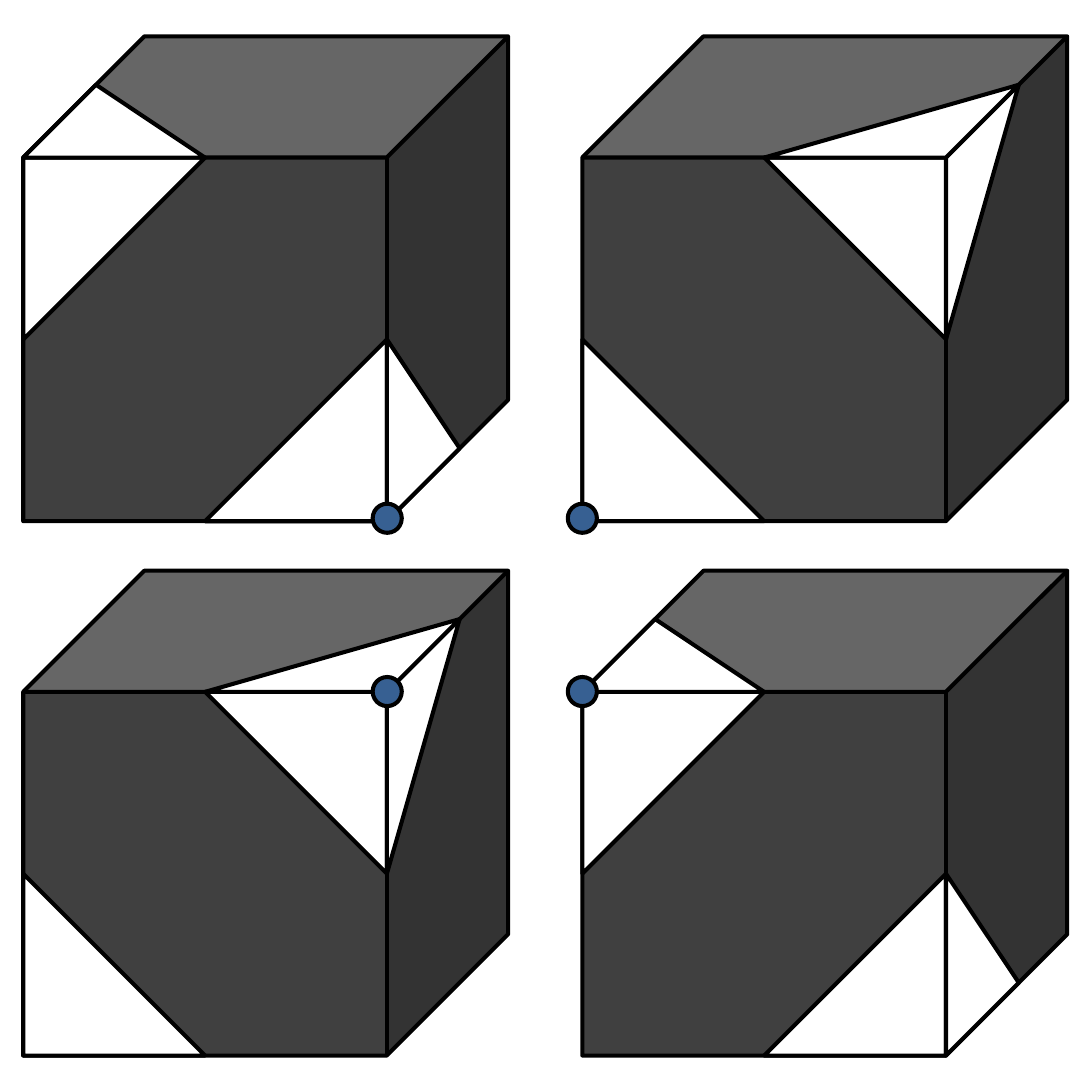
from itertools import product

from pptx import Presentation
from pptx.dml.color import RGBColor
from pptx.enum.shapes import MSO_SHAPE as Shape
from pptx.util import Inches, Pt

FACE = RGBColor(0x40, 0x40, 0x40)
CUT = RGBColor(0xFF, 0xFF, 0xFF)
DOT = RGBColor(0x37, 0x60, 0x92)
OUTLINE = RGBColor(0, 0, 0)

SIDE = 3.33
DEPTH = SIDE / 4
FRONT = SIDE - DEPTH
HALF = FRONT / 2
NOTCH = 0.5
DOT_SIZE = 0.2
LEFTS = (0.16, 4.0)
TOPS = (0.25, 3.92)
DOT_CENTRES = product((2.66, 4.0), (3.56, 4.75))

MIDDLE = DEPTH + HALF
TOP_EDGE = (HALF, DEPTH)
RIGHT_EDGE = (FRONT, MIDDLE)
TOP_RIGHT = (FRONT, DEPTH)
UPPER_NOTCH = (FRONT + NOTCH, DEPTH - NOTCH)
LOWER_NOTCH = (FRONT + NOTCH, SIDE - NOTCH)

FALLING_CUTS = {
    "triangles": [(0, DEPTH, 90), (HALF, MIDDLE, 270)],
    "flaps": [
        [(NOTCH, DEPTH - NOTCH), (0, DEPTH), TOP_EDGE],
        [RIGHT_EDGE, LOWER_NOTCH, (FRONT, SIDE)],
    ],
}
RISING_CUTS = {
    "triangles": [(HALF, DEPTH, 180), (0, MIDDLE, 0)],
    "flaps": [
        [TOP_RIGHT, UPPER_NOTCH, RIGHT_EDGE],
        [TOP_EDGE, TOP_RIGHT, UPPER_NOTCH],
    ],
}


def paint(shape, colour):
    shape.shadow.inherit = False
    shape.fill.solid()
    shape.fill.fore_color.rgb = colour
    shape.line.color.rgb = OUTLINE
    shape.line.width = Pt(2)


def add_preset(page, kind, left, top, size, colour, rotation=0):
    shape = page.shapes.add_shape(
        kind, Inches(left), Inches(top), Inches(size), Inches(size))
    shape.rotation = rotation
    paint(shape, colour)


def add_flap(page, left, top, corners):
    points = [(Inches(left + x), Inches(top + y)) for x, y in corners]
    builder = page.shapes.build_freeform(*points[0])
    builder.add_line_segments(points[1:], close=True)
    paint(builder.convert_to_shape(), CUT)


def add_cube(page, left, top, cuts):
    add_preset(page, Shape.CUBE, left, top, SIDE, FACE)
    for x, y, rotation in cuts["triangles"]:
        add_preset(page, Shape.RIGHT_TRIANGLE, left + x, top + y, HALF, CUT, rotation)
    for corners in cuts["flaps"]:
        add_flap(page, left, top, corners)


def main():
    deck = Presentation()
    deck.slide_width = deck.slide_height = Inches(7.5)
    page = deck.slides.add_slide(deck.slide_layouts[6])
    for row, top in enumerate(TOPS):
        for column, left in enumerate(LEFTS):
            cuts = FALLING_CUTS if row == column else RISING_CUTS
            add_cube(page, left, top, cuts)
    for x, y in DOT_CENTRES:
        add_preset(page, Shape.OVAL, x - DOT_SIZE / 2, y - DOT_SIZE / 2, DOT_SIZE, DOT)
    deck.save("out.pptx")


if __name__ == "__main__":
    main()
